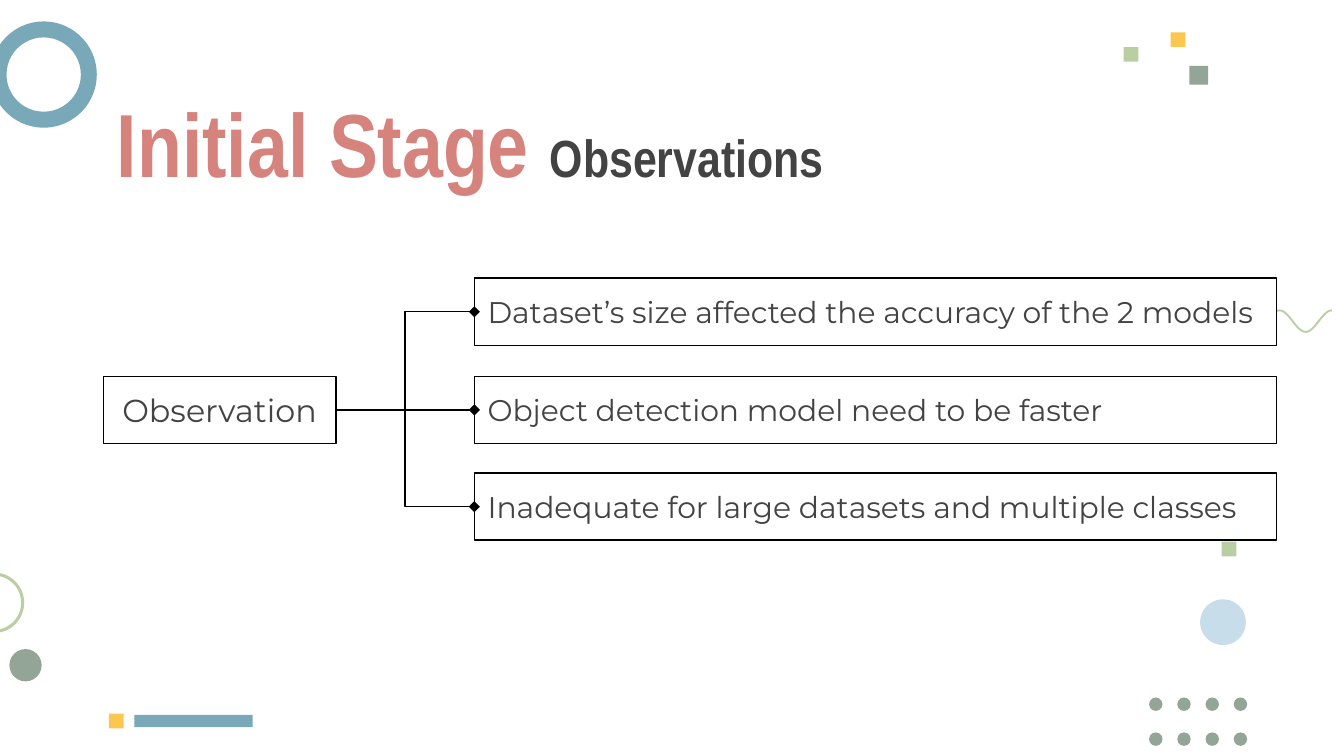
from math import cos, pi

from pptx import Presentation
from pptx.dml.color import RGBColor
from pptx.enum.shapes import MSO_CONNECTOR, MSO_SHAPE
from pptx.enum.text import MSO_ANCHOR, MSO_AUTO_SIZE, PP_ALIGN
from pptx.oxml.ns import qn
from pptx.util import Inches, Pt

SAGE, GREEN, BLUE, GOLD = "93A597", "B9CEA2", "79A8B8", "FAC750"
PALE, ROSE, INK = "C7DDEA", "D5837C", "434343"

SQUARES = [
    (1, 5.32, 0.88, 0.09, BLUE),
    (0.81, 5.31, 0.11, 0.11, GOLD),
    (8.85, 0.49, 0.14, 0.14, SAGE),
    (8.36, 0.35, 0.11, 0.11, GREEN),
    (8.71, 0.24, 0.11, 0.11, GOLD),
    (9.09, 4.03, 0.11, 0.11, GREEN),
]
DISCS = [(8.93, 4.46, 0.34, PALE), (0.07, 4.83, 0.24, SAGE)]
RINGS = [(-0.07, 0.16, 0.79, 0.15, BLUE), (-0.27, 4.26, 0.45, 0.05, GREEN)]
NOTES = [
    (2.07, "Dataset’s size affected the accuracy of the 2 models"),
    (2.8, "Object detection model need to be faster"),
    (3.52, "Inadequate for large datasets and multiple classes"),
]


def color(code):
    return RGBColor.from_string(code)


def add_form(slide, kind, x, y, w, h, fill):
    form = slide.shapes.add_shape(kind, Inches(x), Inches(y), Inches(w), Inches(h))
    form.shadow.inherit = False
    form.fill.solid()
    form.fill.fore_color.rgb = color(fill)
    form.line.fill.background()
    return form


def add_ring(slide, x, y, size, band, fill):
    ring = add_form(slide, MSO_SHAPE.DONUT, x, y, size, size, fill)
    ring.adjustments[0] = band


def add_dots(slide):
    for row in range(2):
        for col in range(4):
            x, y = 8.55 + 0.21 * col, 5.19 + 0.26 * row
            add_form(slide, MSO_SHAPE.OVAL, x, y, 0.1, 0.1, SAGE)


def add_wave(slide):
    start, end, crest, period, steps = 9.5, 9.91, 9.52, 0.39, 40
    points = []
    for i in range(steps + 1):
        x = start + (end - start) * i / steps
        y = 2.39 - 0.08 * cos(2 * pi * (x - crest) / period)
        points.append((Inches(x), Inches(y)))
    pen = slide.shapes.build_freeform(*points[0])
    pen.add_line_segments(points[1:], close=False)
    wave = pen.convert_to_shape()
    wave.shadow.inherit = False
    wave.fill.background()
    wave.line.color.rgb = color(GREEN)
    wave.line.width = Pt(1)


def add_run(para, text, font, size, tint, bold=False):
    run = para.add_run()
    run.text = text
    run.font.name = font
    run.font.size = Pt(size)
    run.font.bold = bold
    run.font.color.rgb = color(tint)


def set_frame(shape, align):
    frame = shape.text_frame
    frame.word_wrap = True
    frame.auto_size = MSO_AUTO_SIZE.NONE
    frame.vertical_anchor = MSO_ANCHOR.MIDDLE
    frame.margin_left = frame.margin_right = Inches(0.1)
    frame.margin_top = frame.margin_bottom = Inches(0.1)
    para = frame.paragraphs[0]
    para.alignment = align
    return para


def add_title(slide):
    title = slide.shapes.title
    title.left, title.top = Inches(0.77), Inches(0.85)
    title.width, title.height = Inches(8.74), Inches(0.41)
    para = set_frame(title, PP_ALIGN.LEFT)
    add_run(para, "Initial Stage ", "Arial Narrow", 48, ROSE, True)
    add_run(para, "Observations", "Arial Narrow", 28, INK, True)


def add_box(slide, x, y, w, text, size, align):
    box = add_form(slide, MSO_SHAPE.RECTANGLE, x, y, w, 0.5, "FFFFFF")
    box.line.color.rgb = color("000000")
    box.line.width = Pt(0.75)
    add_run(set_frame(box, align), text, "Montserrat", size, INK)
    return box


def add_link(slide, source, target):
    link = slide.shapes.add_connector(
        MSO_CONNECTOR.ELBOW,
        source.left + source.width, source.top + source.height // 2,
        target.left, target.top + target.height // 2)
    link.begin_connect(source, 3)
    link.end_connect(target, 1)
    link.line.color.rgb = color("000000")
    link.line.width = Pt(0.75)
    props = link._element.spPr
    line = props.find(qn("a:ln"))
    tail = line.makeelement(qn("a:tailEnd"), {"type": "diamond"})
    line.append(tail)
    props.append(props.makeelement(qn("a:effectLst"), {}))


def add_decor(slide):
    add_dots(slide)
    add_wave(slide)
    for ring in RINGS:
        add_ring(slide, *ring)
    for x, y, size, fill in DISCS:
        add_form(slide, MSO_SHAPE.OVAL, x, y, size, size, fill)
    for square in SQUARES:
        add_form(slide, MSO_SHAPE.RECTANGLE, *square)


def main():
    deck = Presentation()
    deck.slide_width = Inches(10)
    deck.slide_height = deck.slide_width * 9 // 16
    slide = deck.slides.add_slide(deck.slide_layouts[5])
    add_decor(slide)
    add_title(slide)
    root = add_box(slide, 0.77, 2.8, 1.73, "Observation", 17, PP_ALIGN.CENTER)
    for top, text in NOTES:
        note = add_box(slide, 3.53, top, 5.97, text, 16, PP_ALIGN.LEFT)
        add_link(slide, root, note)
    deck.save("out.pptx")


if __name__ == "__main__":
    main()
